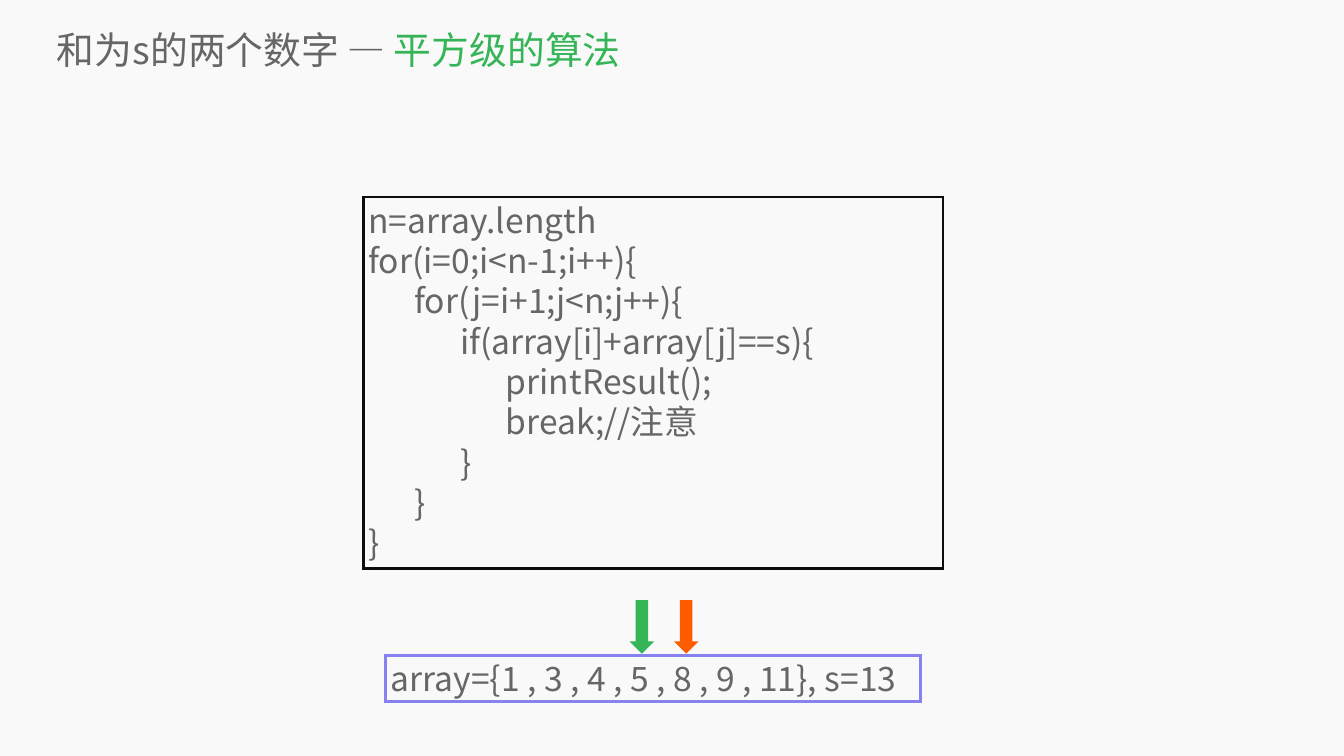
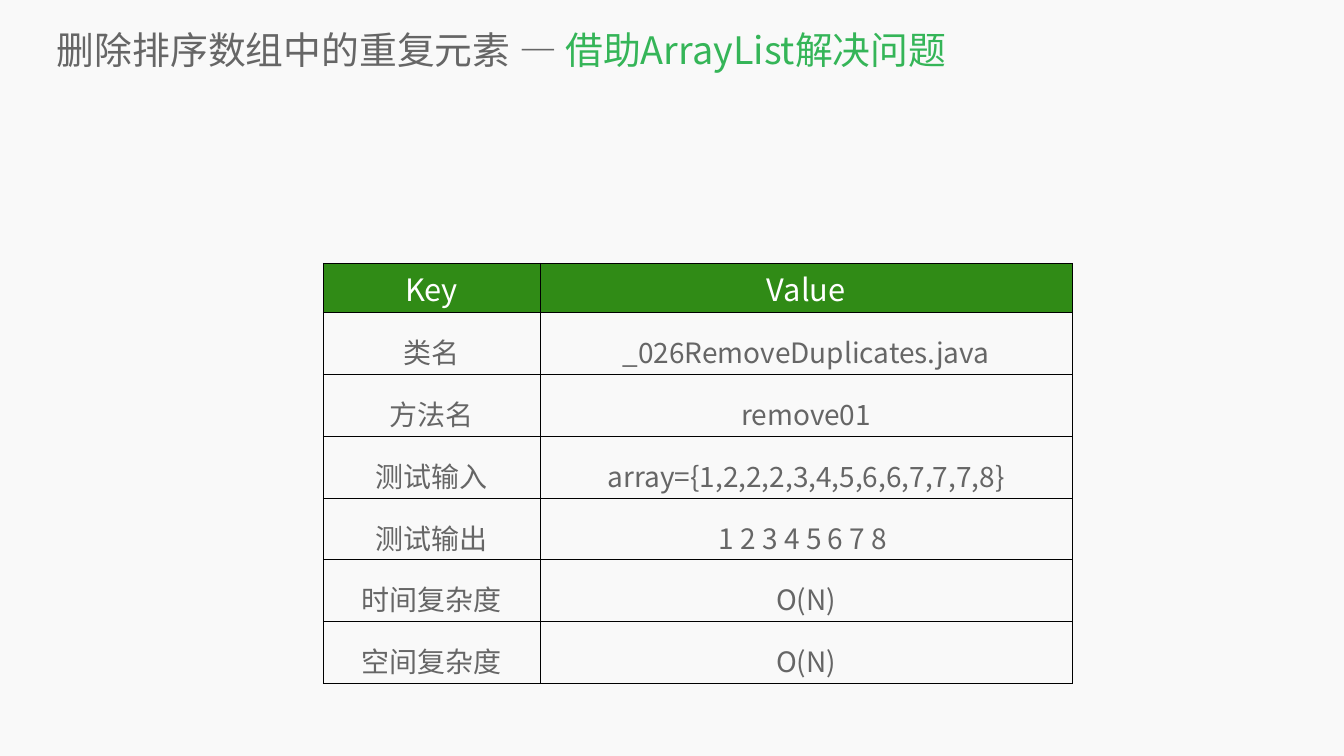
from dataclasses import dataclass

import pptx
import pptx.dml.color
import pptx.enum.shapes
import pptx.enum.text
import pptx.oxml
import pptx.oxml.ns
import pptx.util
from lxml import etree

Pt = pptx.util.Pt
Shapes = pptx.enum.shapes.MSO_SHAPE
Anchor = pptx.enum.text.MSO_ANCHOR
Align = pptx.enum.text.PP_ALIGN
qn = pptx.oxml.ns.qn

FONT = "Noto Sans CJK SC"
COLORS = {
    "paper": "F9F9F9",
    "text": "666666",
    "green": "35B558",
    "orange": "FF5C00",
    "violet": "8881F0",
    "ink": "0D0D0D",
    "header": "308B16",
    "white": "FFFFFF",
    "black": "000000",
}
CODE_SIZE, CODE_PITCH, TAB_WIDTH = 48, 57.6, 65.5

CODE = """n=array.length
for(i=0;i<n-1;i++){
\tfor(j=i+1;j<n;j++){
\t\tif(array[i]+array[j]==s){
\t\t\tprintResult();
\t\t\tbreak;//注意
\t\t}
\t}
}"""

FACTS = [
    ("Key", "Value"),
    ("类名", "_026RemoveDuplicates.java"),
    ("方法名", "remove01"),
    ("测试输入", "array={1,2,2,2,3,4,5,6,6,7,7,7,8}"),
    ("测试输出", "1 2 3 4 5 6 7 8 "),
    ("时间复杂度", "O(N)"),
    ("空间复杂度", "O(N)"),
]


@dataclass(frozen=True)
class CodeBox:
    text: str
    left: float
    top: float
    width: float
    height: float
    border: str


@dataclass(frozen=True)
class Pointer:
    left: float
    color: str


LISTING = CodeBox(CODE, 519.1, 281.5, 828, 530.6, "ink")
ARRAY = CodeBox("array={1 , 3 , 4 , 5 , 8 , 9 , 11}, s=13", 550.8, 936.7, 764.6, 65.5, "violet")
POINTERS = [Pointer(962.6, "orange"), Pointer(899.3, "green")]


def rgb(name: str) -> pptx.dml.color.RGBColor:
    return pptx.dml.color.RGBColor.from_string(COLORS[name])


def write(para, text: str, *, size: float, color: str = "text",
          align=Align.LEFT, spacing=None) -> None:
    """Append one formatted span to a paragraph."""
    para.alignment = align
    if spacing is not None:
        para.line_spacing = spacing
    span = para.add_run()
    span.text = text
    span.font.size = Pt(size)
    span.font.name = FONT
    span.font.color.rgb = rgb(color)
    etree.SubElement(span.font._element, qn("a:ea"), typeface=FONT)


def set_tab_stops(para, count: int) -> None:
    stops = etree.SubElement(para._p.get_or_add_pPr(), qn("a:tabLst"))
    for number in range(1, count + 1):
        etree.SubElement(stops, qn("a:tab"), pos=str(Pt(TAB_WIDTH * number)), algn="l")


def add_page(deck, topic: str, approach: str):
    page = deck.slides.add_slide(deck.slide_layouts[6])
    page.background.fill.solid()
    page.background.fill.fore_color.rgb = rgb("paper")
    frame = page.shapes.add_textbox(Pt(81.4), Pt(33.8), Pt(1811.5), Pt(73.4)).text_frame
    frame.word_wrap = True
    frame.vertical_anchor = Anchor.MIDDLE
    frame.margin_left = frame.margin_right = frame.margin_top = frame.margin_bottom = 0
    write(frame.paragraphs[0], f"{topic} — ", size=54)
    write(frame.paragraphs[0], approach, size=54, color="green")
    return page


def add_code_box(shapes, code: CodeBox) -> None:
    box = shapes.add_shape(Shapes.RECTANGLE, Pt(code.left), Pt(code.top),
                           Pt(code.width), Pt(code.height))
    box.shadow.inherit = False
    box.fill.background()
    box.line.color.rgb = rgb(code.border)
    box.line.width = Pt(4)
    etree.SubElement(box.line._get_or_add_ln(), qn("a:miter"), lim="800000")
    frame = box.text_frame
    frame.word_wrap = True
    frame.vertical_anchor = Anchor.TOP
    for index, line in enumerate(code.text.splitlines()):
        para = frame.add_paragraph() if index else frame.paragraphs[0]
        write(para, line, size=CODE_SIZE, spacing=Pt(CODE_PITCH))
        if "\t" in line:
            set_tab_stops(para, line.count("\t"))


def add_pointer(shapes, pointer: Pointer) -> None:
    arrow = shapes.add_shape(Shapes.DOWN_ARROW, Pt(pointer.left), Pt(857.5), Pt(35.3), Pt(76.3))
    arrow.shadow.inherit = False
    arrow.fill.solid()
    arrow.fill.fore_color.rgb = rgb(pointer.color)
    arrow.line.fill.background()


def set_borders(cell) -> None:
    properties = cell._tc.get_or_add_tcPr()
    for index, side in enumerate(("lnL", "lnR", "lnT", "lnB")):
        line = properties.makeelement(qn(f"a:{side}"), {"w": str(Pt(1))})
        fill = etree.SubElement(line, qn("a:solidFill"))
        etree.SubElement(fill, qn("a:srgbClr"), val=COLORS["black"])
        properties.insert(index, line)


def add_fact_table(page, facts: list[tuple[str, str]]) -> None:
    widths = (310, 760.3)
    heights = [71] + [88.2] * (len(facts) - 1)
    table = page.shapes.add_table(len(facts), len(widths), Pt(461.5), Pt(375.8),
                                  Pt(sum(widths)), Pt(sum(heights))).table
    table.first_row = table.horz_banding = False
    for column, width in zip(table.columns, widths):
        column.width = Pt(width)
    for row_index, (row, height, values) in enumerate(zip(table.rows, heights, facts)):
        row.height = Pt(height)
        for cell, value in zip(row.cells, values):
            para = cell.text_frame.paragraphs[0]
            if row_index == 0:
                cell.fill.solid()
                cell.fill.fore_color.rgb = rgb("header")
                write(para, value, size=44, color="white", align=Align.CENTER)
            else:
                cell.fill.background()
                write(para, value, size=40, align=Align.CENTER, spacing=1.4)
            set_borders(cell)


def main() -> None:
    deck = pptx.Presentation()
    deck.slide_width, deck.slide_height = Pt(1920), Pt(1080)

    page = add_page(deck, "和为s的两个数字", "平方级的算法")
    add_code_box(page.shapes, LISTING)
    example = page.shapes.add_group_shape()
    add_code_box(example.shapes, ARRAY)
    for pointer in POINTERS:
        add_pointer(example.shapes, pointer)

    page = add_page(deck, "删除排序数组中的重复元素", "借助ArrayList解决问题")
    add_fact_table(page, FACTS)

    deck.save("out.pptx")


if __name__ == "__main__":
    main()
